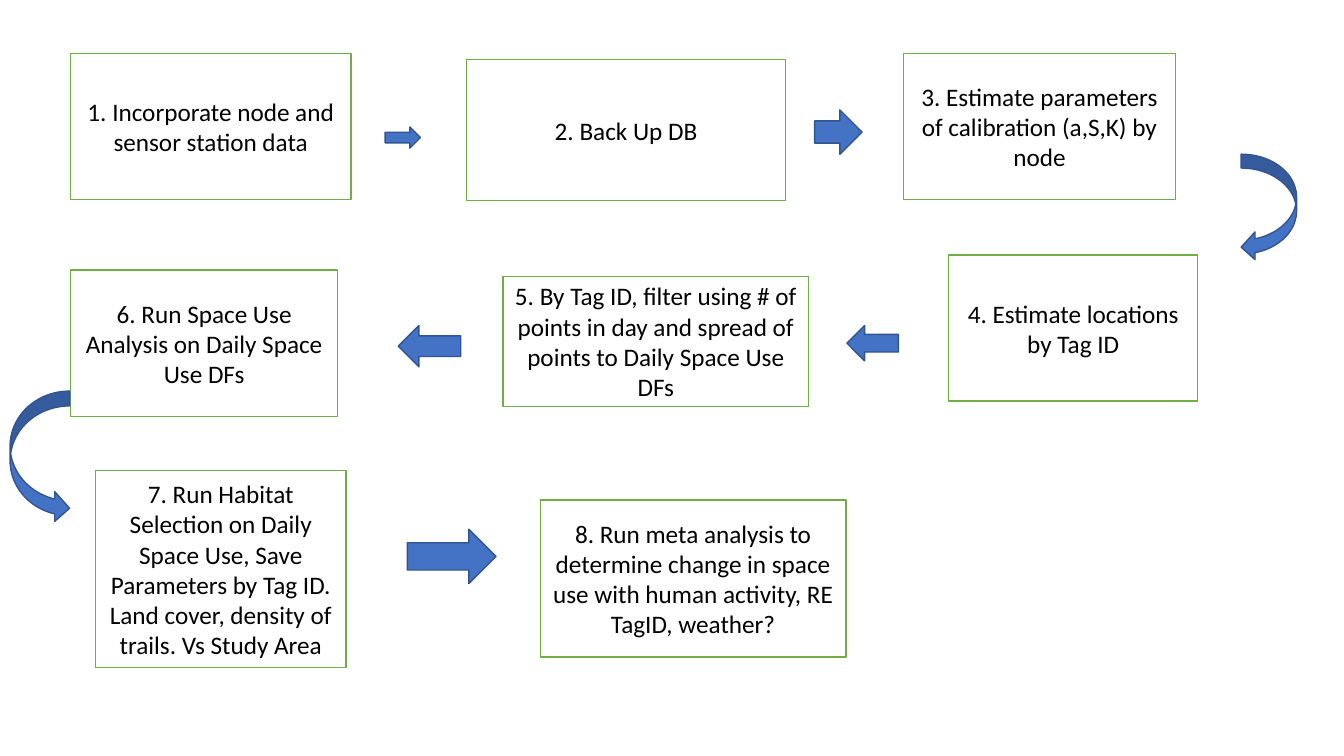
import pptx
import pptx.dml.color
import pptx.enum.shapes
import pptx.enum.text
import pptx.util

EMU_PER_PX = 9144
SHAPES = pptx.enum.shapes.MSO_SHAPE
COLORS = {
    "box": "FFFFFF",
    "box_line": "70AD47",
    "arrow": "4472C4",
    "arrow_line": "325491",
    "text": "000000",
}

STEPS = [
    (SHAPES.FLOWCHART_PROCESS, (70, 53, 278, 145), "Incorporate node and sensor station data"),
    (SHAPES.FLOWCHART_PROCESS, (463, 59, 316, 140), "Back Up DB"),
    (SHAPES.RECTANGLE, (896, 53, 270, 145), "Estimate parameters of calibration (a,S,K) by node"),
    (SHAPES.RECTANGLE, (941, 253, 247, 145), "Estimate locations by Tag ID"),
    (SHAPES.RECTANGLE, (499, 274, 303, 129),
     "By Tag ID, filter using # of points in day and spread of points to Daily Space Use DFs"),
    (SHAPES.FLOWCHART_PROCESS, (70, 268, 265, 145), "Run Space Use Analysis on Daily Space Use DFs"),
    (SHAPES.FLOWCHART_PROCESS, (95, 467, 248, 195),
     "Run Habitat Selection on Daily Space Use, Save Parameters by Tag ID. "
     "Land cover, density of trails. Vs Study Area"),
    (SHAPES.RECTANGLE, (536, 496, 303, 156),
     "Run meta analysis to determine change in space use with human activity, RE TagID, weather?"),
]

ARROWS = [
    (SHAPES.RIGHT_ARROW, (382, 126, 35, 21)),
    (SHAPES.RIGHT_ARROW, (808, 109, 47, 44)),
    (SHAPES.CURVED_LEFT_ARROW, (1231, 153, 55, 106)),
    (SHAPES.LEFT_ARROW, (840, 323, 51, 35)),
    (SHAPES.LEFT_ARROW, (395, 323, 62, 41)),
    (SHAPES.CURVED_RIGHT_ARROW, (10, 388, 59, 131)),
    (SHAPES.RIGHT_ARROW, (404, 525, 88, 54)),
]


def px(length):
    return pptx.util.Emu(length * EMU_PER_PX)


def color(name):
    return pptx.dml.color.RGBColor.from_string(COLORS[name])


def add_shape(slide, kind, bounds, fill, line):
    shape = slide.shapes.add_shape(kind, *map(px, bounds))
    shape.shadow.inherit = False
    shape.fill.solid()
    shape.fill.fore_color.rgb = color(fill)
    shape.line.color.rgb = color(line)
    shape.line.width = pptx.util.Pt(1)
    return shape


def write_text(shape, text, size=18, font="Calibri", fill="text",
               align=pptx.enum.text.PP_ALIGN.CENTER,
               anchor=pptx.enum.text.MSO_ANCHOR.MIDDLE):
    frame = shape.text_frame
    frame.word_wrap = True
    frame.vertical_anchor = anchor
    paragraph = frame.paragraphs[0]
    paragraph.alignment = align
    run = paragraph.add_run()
    run.text = text
    run.font.size = pptx.util.Pt(size)
    run.font.name = font
    run.font.color.rgb = color(fill)


def add_step(slide, number, kind, bounds, text):
    box = add_shape(slide, kind, bounds, "box", "box_line")
    write_text(box, f"{number}. {text}")


def add_arrow(slide, kind, bounds):
    add_shape(slide, kind, bounds, "arrow", "arrow_line")


def main():
    presentation = pptx.Presentation()
    presentation.slide_width = px(1333)
    presentation.slide_height = px(750)
    slide = presentation.slides.add_slide(presentation.slide_layouts[6])
    for number, step in enumerate(STEPS, start=1):
        add_step(slide, number, *step)
    for arrow in ARROWS:
        add_arrow(slide, *arrow)
    presentation.save("out.pptx")


if __name__ == "__main__":
    main()
